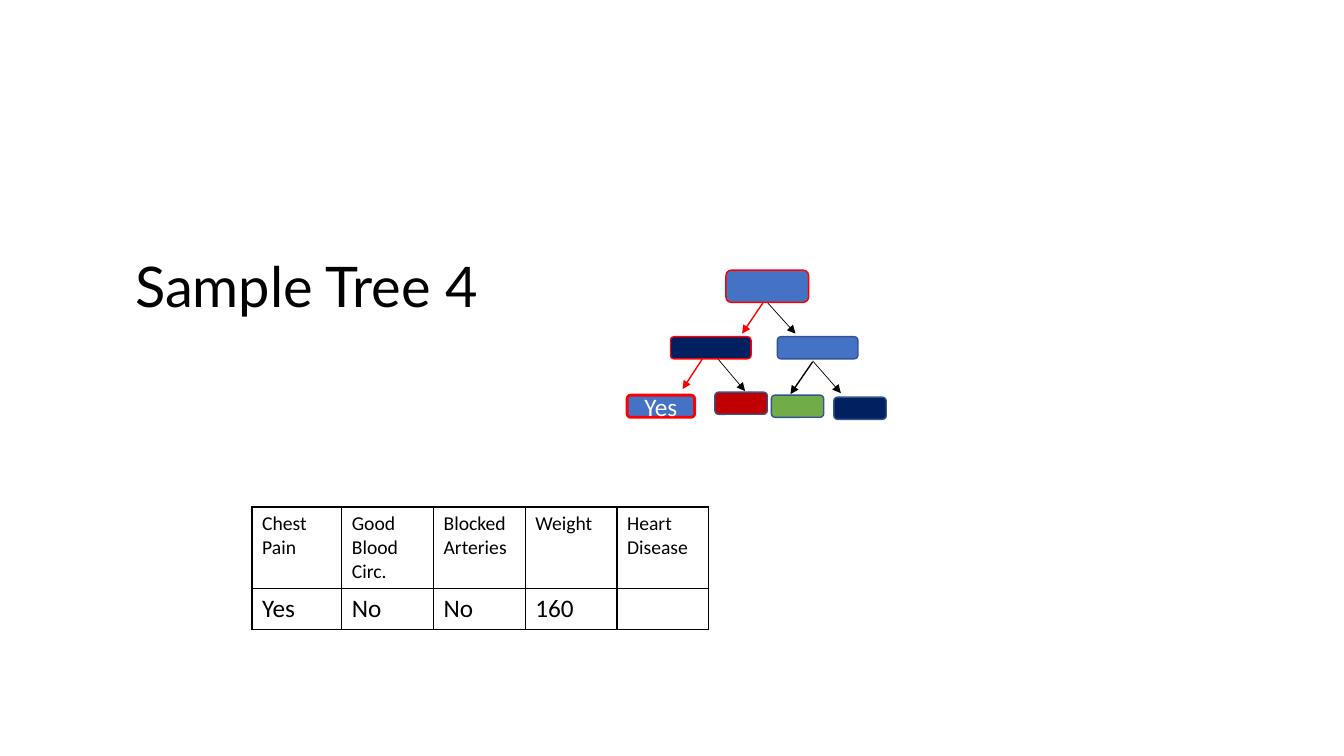
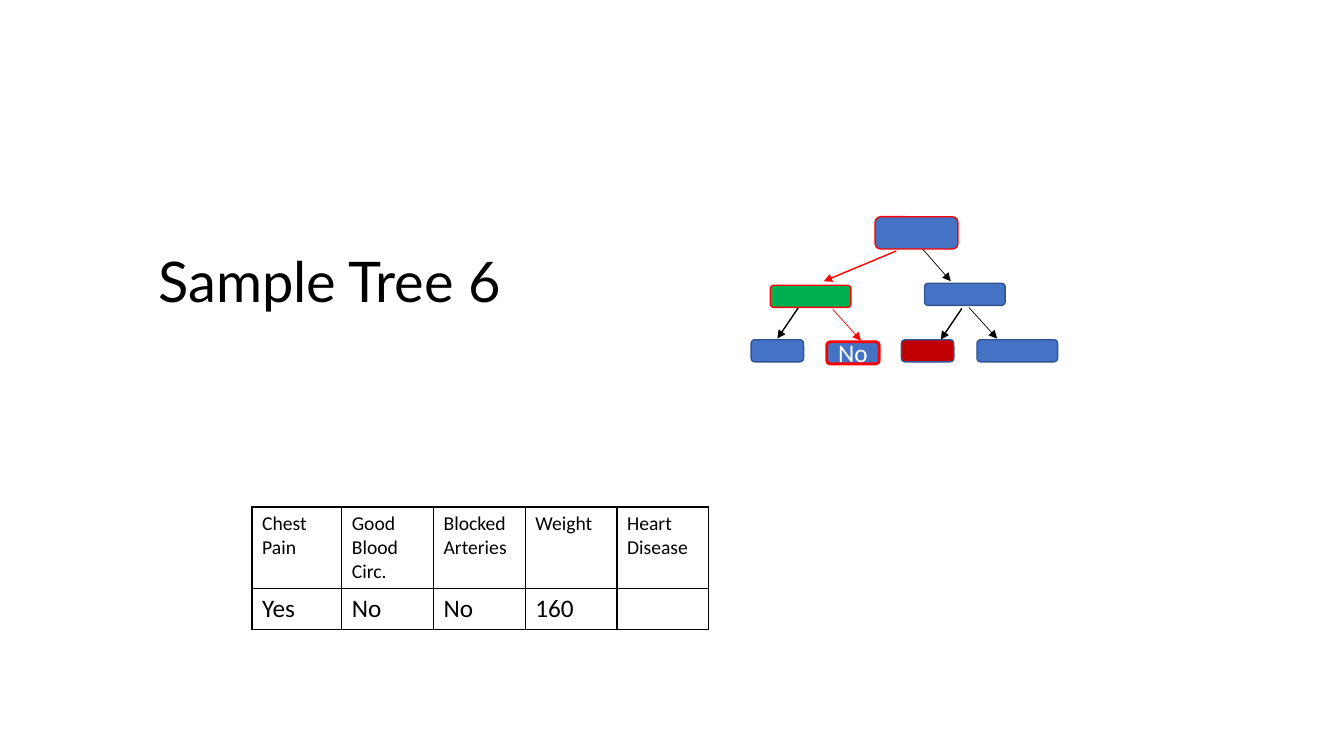
import dataclasses

import lxml.etree
import pptx
import pptx.dml.color
import pptx.enum.dml
import pptx.enum.shapes
import pptx.enum.text
import pptx.oxml.ns
import pptx.util
from pptx.util import Inches

RGB = pptx.dml.color.RGBColor
ALIGN = pptx.enum.text.PP_ALIGN
ANCHOR = pptx.enum.text.MSO_ANCHOR
qn = pptx.oxml.ns.qn


@dataclasses.dataclass(frozen=True)
class Theme:
    title_font: str = "Lato"
    body_font: str = "Calibri"
    title_size: int = 40
    body_size: int = 18
    header_size: int = 14
    black: str = "000000"
    white: str = "FFFFFF"
    blue: str = "4472C4"
    navy: str = "002060"
    crimson: str = "C00000"
    light_green: str = "70AD47"
    green: str = "00B050"
    outline: str = "325491"
    taken: str = "FF0000"


THEME = Theme()
NODE_HEIGHT = 0.22
ROOT_SIZE = (0.82, 0.32)
BRANCH_WIDTH = 0.8
LEAF_WIDTH = 0.52


@dataclasses.dataclass(frozen=True)
class Node:
    left: float
    top: float
    width: float = LEAF_WIDTH
    height: float = NODE_HEIGHT
    fill: str = THEME.blue
    line: str = THEME.outline
    weight: float = 1
    text: str = ""


@dataclasses.dataclass(frozen=True)
class Arrow:
    start: tuple[float, float]
    end: tuple[float, float]
    color: str = THEME.black
    weight: float = 0.5


@dataclasses.dataclass(frozen=True)
class Tree:
    title: str
    title_at: tuple[float, float]
    arrows: list[Arrow]
    nodes: list[Node]


PATIENT = [
    ["Chest Pain", "Good\nBlood\nCirc.", "Blocked\nArteries", "Weight", "Heart\nDisease"],
    ["Yes", "No", "No", "160", ""],
]

TREES = [
    Tree(
        "Sample Tree 4",
        (1.24, 2.45),
        [
            Arrow((7.61, 3), (7.89, 3.31)),
            Arrow((7.57, 3), (7.36, 3.31), THEME.taken, 1),
            Arrow((8.06, 3.58), (8.34, 3.9)),
            Arrow((7.12, 3.56), (7.39, 3.88)),
            Arrow((8.06, 3.59), (7.84, 3.91), weight=1),
            Arrow((6.98, 3.54), (6.77, 3.86), THEME.taken, 1),
        ],
        [
            Node(7.2, 2.68, *ROOT_SIZE, line=THEME.taken),
            Node(7.71, 3.34, BRANCH_WIDTH),
            Node(6.65, 3.34, BRANCH_WIDTH, fill=THEME.navy, line=THEME.taken),
            Node(8.27, 3.94, fill=THEME.navy),
            Node(7.65, 3.92, fill=THEME.light_green),
            Node(7.09, 3.89, fill=THEME.crimson),
            Node(6.22, 3.92, 0.67, line=THEME.taken, weight=2, text="Yes"),
        ],
    ),
    Tree(
        "Sample Tree 6",
        (1.47, 2.4),
        [
            Arrow((9.15, 2.47), (9.43, 2.79)),
            Arrow((8.89, 2.49), (8.17, 2.79), THEME.taken, 1),
            Arrow((9.61, 3.05), (9.89, 3.36)),
            Arrow((7.92, 3.05), (7.71, 3.36), weight=1),
            Arrow((8.26, 3.07), (8.54, 3.38), THEME.taken),
            Arrow((9.54, 3.06), (9.33, 3.37), weight=1),
        ],
        [
            Node(8.68, 2.15, *ROOT_SIZE, line=THEME.taken),
            Node(9.17, 2.81, BRANCH_WIDTH),
            Node(7.64, 2.83, BRANCH_WIDTH, fill=THEME.green, line=THEME.taken),
            Node(9.69, 3.37, BRANCH_WIDTH),
            Node(8.94, 3.37, fill=THEME.crimson),
            Node(8.2, 3.39, line=THEME.taken, weight=2, text="No"),
            Node(7.45, 3.37),
        ],
    ),
]


def write(
    tf: pptx.text.text.TextFrame,
    text: str,
    *,
    size: float = THEME.body_size,
    font: str = THEME.body_font,
    color: str = THEME.black,
    align: ALIGN = ALIGN.LEFT,
) -> None:
    """Fill a text frame, one paragraph a line, in a single format."""
    tf.text = text
    for p in tf.paragraphs:
        p.alignment = align
        for r in p.runs:
            r.font.name = font
            r.font.size = pptx.util.Pt(size)
            r.font.color.rgb = RGB.from_string(color)


def set_line(line: pptx.dml.line.LineFormat, color: str, weight: float) -> None:
    line.color.rgb = RGB.from_string(color)
    line.width = pptx.util.Pt(weight)


def add_title(s: pptx.slide.Slide, tree: Tree) -> None:
    sp = s.shapes.title
    sp.left, sp.top = map(Inches, tree.title_at)
    sp.width, sp.height = Inches(4.27), Inches(0.77)
    tf = sp.text_frame
    tf.word_wrap = True
    tf.auto_size = pptx.enum.text.MSO_AUTO_SIZE.NONE
    tf.vertical_anchor = ANCHOR.TOP
    write(tf, tree.title, size=THEME.title_size, font=THEME.title_font)


def add_node(s: pptx.slide.Slide, node: Node) -> None:
    box = map(Inches, (node.left, node.top, node.width, node.height))
    sp = s.shapes.add_shape(pptx.enum.shapes.MSO_SHAPE.ROUNDED_RECTANGLE, *box)
    sp.shadow.inherit = False
    sp.fill.solid()
    sp.fill.fore_color.rgb = RGB.from_string(node.fill)
    set_line(sp.line, node.line, node.weight)
    if node.text:
        sp.text_frame.vertical_anchor = ANCHOR.MIDDLE
        write(sp.text_frame, node.text, color=THEME.white, align=ALIGN.CENTER)


def add_arrow(s: pptx.slide.Slide, arrow: Arrow) -> None:
    ends = map(Inches, (*arrow.start, *arrow.end))
    cx = s.shapes.add_connector(pptx.enum.shapes.MSO_CONNECTOR.STRAIGHT, *ends)
    set_line(cx.line, arrow.color, arrow.weight)
    ln = cx.line._get_or_add_ln()
    lxml.etree.SubElement(ln, qn("a:tailEnd"), type="triangle")
    lxml.etree.SubElement(cx._element.spPr, qn("a:effectLst"))


def add_borders(cell: pptx.table._Cell) -> None:
    """Draw all four edges; call before the fill, which must follow them."""
    tc_pr = cell._tc.get_or_add_tcPr()
    for side in ("L", "R", "T", "B"):
        ln = lxml.etree.SubElement(tc_pr, qn(f"a:ln{side}"), w=str(pptx.util.Pt(1)))
        fill = lxml.etree.SubElement(ln, qn("a:solidFill"))
        lxml.etree.SubElement(fill, qn("a:srgbClr"), val=THEME.black)


def add_patient_table(s: pptx.slide.Slide) -> None:
    widths = [0.89] + [0.91] * 4
    heights = [0.8, 0.4]
    box = map(Inches, (2.5, 5.03, sum(widths), sum(heights)))
    table = s.shapes.add_table(len(heights), len(widths), *box).table
    table.first_row = table.horz_banding = False
    for column, width in zip(table.columns, widths):
        column.width = Inches(width)
    for i, (row, height, texts) in enumerate(zip(table.rows, heights, PATIENT)):
        row.height = Inches(height)
        size = THEME.body_size if i else THEME.header_size
        for cell, text in zip(row.cells, texts):
            add_borders(cell)
            cell.fill.background()
            write(cell.text_frame, text, size=size)


def add_tree_slide(prs: pptx.presentation.Presentation, tree: Tree) -> None:
    s = prs.slides.add_slide(prs.slide_layouts.get_by_name("Title Only"))
    add_title(s, tree)
    add_patient_table(s)
    for arrow in tree.arrows:
        add_arrow(s, arrow)
    for node in tree.nodes:
        add_node(s, node)


def main() -> None:
    prs = pptx.Presentation()
    prs.slide_width, prs.slide_height = Inches(13.33), Inches(7.5)
    for tree in TREES:
        add_tree_slide(prs, tree)
    prs.save("out.pptx")


if __name__ == "__main__":
    main()
